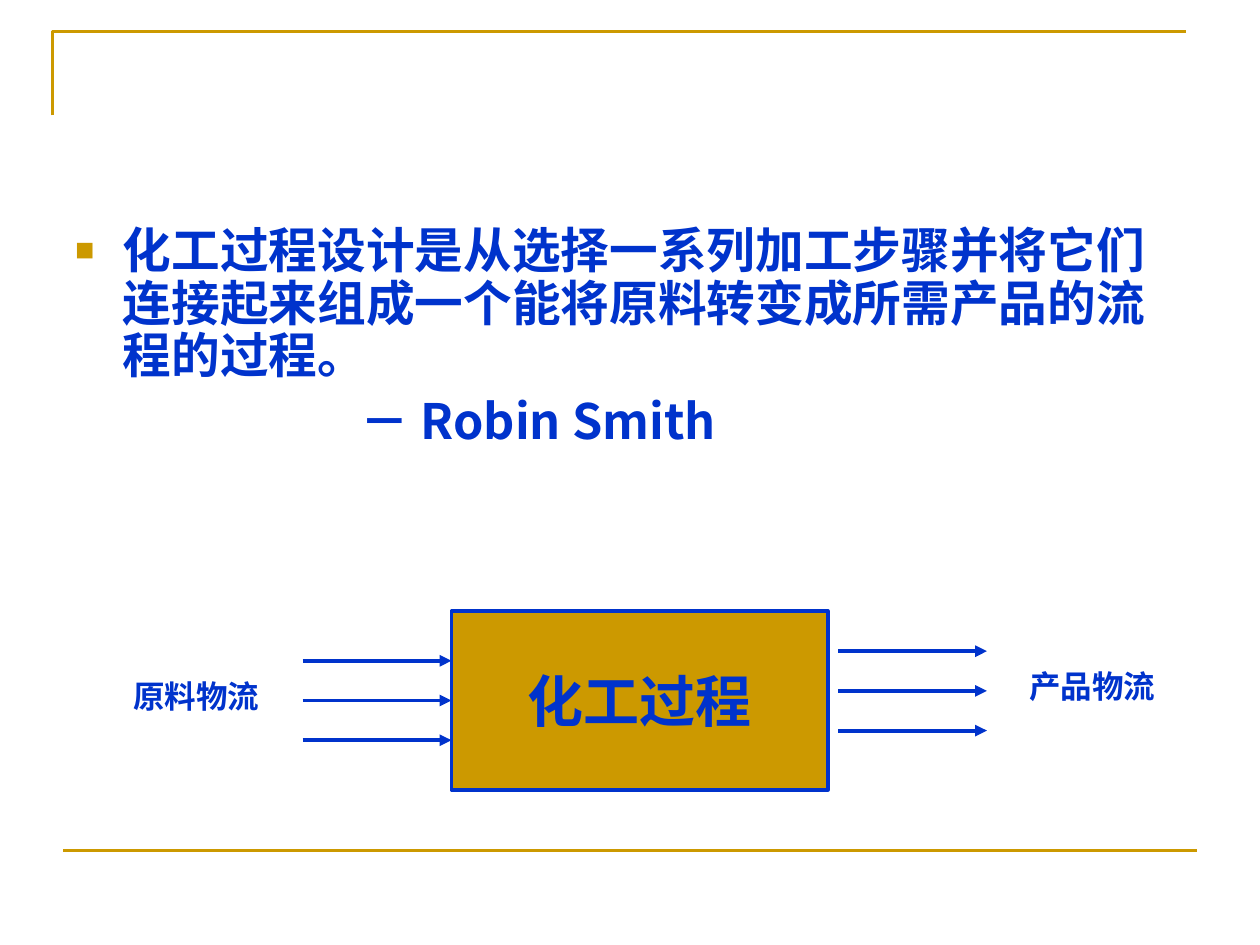
from lxml.etree import SubElement
from pptx import Presentation
from pptx.dml.color import RGBColor
from pptx.enum.shapes import MSO_CONNECTOR, MSO_SHAPE
from pptx.enum.text import MSO_ANCHOR, MSO_AUTO_SIZE, PP_ALIGN
from pptx.oxml.ns import qn
from pptx.util import Pt

FONT = "Noto Sans CJK SC"
BLUE, GOLD = "0033CC", "CC9900"


def color(code):
    return RGBColor.from_string(code)


def style(para, size):
    font = para.font
    font.size, font.bold, font.name = Pt(size), True, FONT
    font.fill.solid()
    font.fill.fore_color.rgb = color(BLUE)
    latin = para._p.pPr.find(qn("a:defRPr")).find(qn("a:latin"))
    east = latin.makeelement(qn("a:ea"), {"typeface": FONT})
    latin.addnext(east)


def indent(para, left, hang=0, bullet=None):
    props = para._p.get_or_add_pPr()
    props.set("marL", str(Pt(left)))
    props.set("indent", str(-Pt(hang)))
    if not bullet:
        SubElement(props, qn("a:buNone"))
        return
    tint = SubElement(props, qn("a:buClr"))
    SubElement(tint, qn("a:srgbClr"), val=GOLD)
    SubElement(props, qn("a:buSzPct"), val="40000")
    SubElement(props, qn("a:buFont"), typeface=FONT)
    SubElement(props, qn("a:buChar"), char=bullet)


def add_line(slide, x1, y1, x2, y2, code, width, arrow=False):
    line = slide.shapes.add_connector(
        MSO_CONNECTOR.STRAIGHT, Pt(x1), Pt(y1), Pt(x2), Pt(y2))
    line.line.color.rgb = color(code)
    line.line.width = Pt(width)
    if arrow:
        SubElement(line.line._get_or_add_ln(), qn("a:tailEnd"), type="triangle")
    SubElement(line._element.spPr, qn("a:effectLst"))
    return line


def add_frame(slide, x, y, w, h):
    """Draw the gold corner at the top and the rule at the bottom."""
    pen = slide.shapes.build_freeform(Pt(x), Pt(y + 48))
    pen.add_line_segments([(Pt(x), Pt(y)), (Pt(x + w), Pt(y))], close=False)
    corner = pen.convert_to_shape()
    corner.shadow.inherit = False
    corner.fill.background()
    corner.line.color.rgb = color(GOLD)
    corner.line.width = Pt(1.5)
    add_line(slide, x + 6, y + h, x + 6 + w, y + h, GOLD, 1.5)


def add_quote(slide, x, y, w, h):
    body = slide.placeholders[1]
    body.left, body.top, body.width, body.height = Pt(x), Pt(y), Pt(w), Pt(h)
    frame = body.text_frame
    frame.auto_size = MSO_AUTO_SIZE.NONE
    quote, author = frame.paragraphs[0], frame.add_paragraph()
    quote.text = ("化工过程设计是从选择一系列加工步骤并将它们"
                  "连接起来组成一个能将原料转变成所需产品的流程的过程。")
    author.text = "－ Robin Smith"
    indent(quote, 27, 27, "■")
    indent(author, 163)
    for para, gap in ((quote, 0), (author, 7.5)):
        para.line_spacing = 0.9
        para.space_before = Pt(gap)
        style(para, 27.8)


def add_label(slide, text, x, y, w, h):
    box = slide.shapes.add_textbox(Pt(x), Pt(y), Pt(w), Pt(h))
    para = box.text_frame.paragraphs[0]
    para.text = text
    style(para, 18)


def add_flow(slide, x, y, w, h):
    """Draw the process box with its feed and product streams."""
    left, wide, run, step = x + 189, 215, 85, 22.7
    box = slide.shapes.add_shape(
        MSO_SHAPE.RECTANGLE, Pt(left), Pt(y), Pt(wide), Pt(h))
    box.shadow.inherit = False
    box.fill.solid()
    box.fill.fore_color.rgb = color(GOLD)
    box.line.color.rgb = color(BLUE)
    box.line.width = Pt(2.25)
    frame = box.text_frame
    frame.word_wrap = False
    frame.vertical_anchor = MSO_ANCHOR.MIDDLE
    para = frame.paragraphs[0]
    para.text = "化工过程"
    para.alignment = PP_ALIGN.CENTER
    style(para, 32)

    mid = y + h / 2
    for start, center in ((left - run, mid), (left + wide + 6, mid - 5.5)):
        for row in (-1, 0, 1):
            level = center + row * step
            line = add_line(slide, start, level, start + run, level,
                            BLUE, 2.25, arrow=True)
            if start < left and row == 0:
                line.end_connect(box, 1)
    add_label(slide, "原料物流", x, mid - 17, 92, 29)
    add_label(slide, "产品物流", x + w - 91, mid - 22.5, 91, 29)


def main():
    deck = Presentation()
    deck.slide_width, deck.slide_height = Pt(720), Pt(540)
    slide = deck.slides.add_slide(deck.slide_layouts[1])
    title = slide.shapes.title._element
    title.getparent().remove(title)
    add_frame(slide, 30, 18, 648, 468)
    add_quote(slide, 36, 126, 648, 166)
    add_flow(slide, 69, 349.2, 603, 102.2)
    deck.save("out.pptx")


if __name__ == "__main__":
    main()
